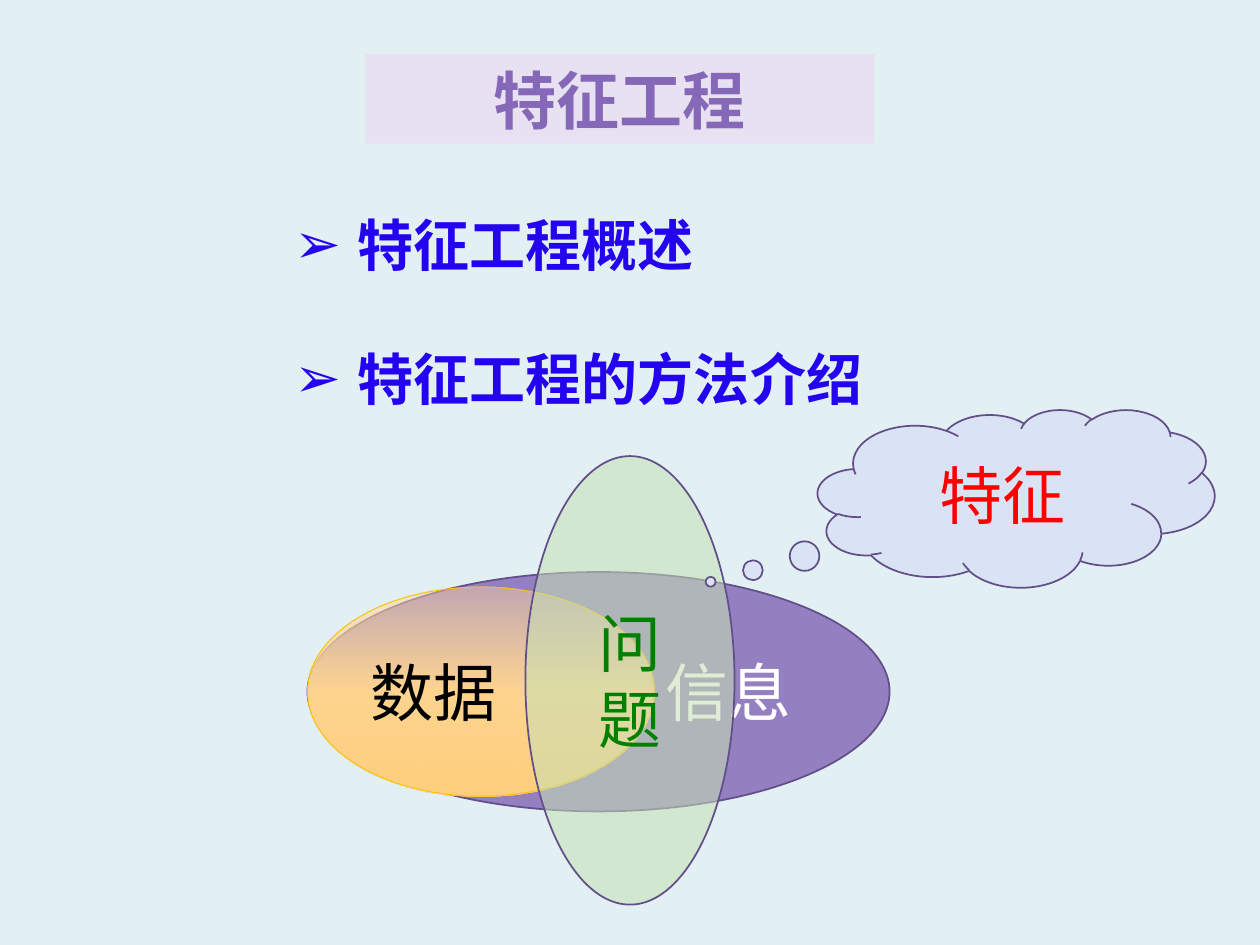
from dataclasses import dataclass
from typing import Optional

from lxml.etree import SubElement
from pptx import Presentation
from pptx.dml.color import RGBColor
from pptx.enum.shapes import MSO_SHAPE
from pptx.enum.text import MSO_ANCHOR, MSO_AUTO_SIZE, PP_ALIGN
from pptx.oxml import parse_xml
from pptx.oxml.ns import nsdecls, qn
from pptx.util import Inches, Pt

COLORS = {
    "background": "E3F0F3", "title_fill": "E7E1F1", "purple": "8569B8",
    "blue": "2403EF", "outline": "624E88", "gold": "FFC000",
    "green_fill": "C5E0B4", "cloud": "DAE3F3", "white": "FFFFFF",
    "black": "000000", "green": "008000", "red": "FF0000",
}
CJK_FONT = "Noto Sans CJK SC"
# Position, colour and opacity of each stop, in percent
DATA_GRADIENT = [(0, "FFDB9E", 43), (50, "FFD590", 100), (100, "FFD07C", 100)]


@dataclass
class Bubble:
    text: str
    at: tuple
    color: str
    align: PP_ALIGN
    fill: Optional[str] = None
    opacity: int = 100
    line: str = "outline"
    line_width: float = 1
    kind: MSO_SHAPE = MSO_SHAPE.OVAL
    adjustments: tuple = ()


BUBBLES = [
    Bubble("信息", (2.44, 4.54, 4.62, 1.9), "white", PP_ALIGN.RIGHT, "purple", 83),
    Bubble("数据", (2.44, 4.66, 2.75, 1.66), "black", PP_ALIGN.LEFT,
           line="gold", line_width=0.5),
    Bubble("问题", (4.17, 3.62, 1.66, 3.56), "green", PP_ALIGN.CENTER, "green_fill", 56),
    Bubble("特征", (6.49, 3.25, 3.15, 1.41), "red", PP_ALIGN.CENTER, "cloud",
           kind=MSO_SHAPE.CLOUD_CALLOUT, adjustments=(-0.77, 0.47)),
]


def color(name: str) -> RGBColor:
    return RGBColor.from_string(COLORS[name])


def set_values(target, values: dict) -> None:
    for name, value in values.items():
        setattr(target, name, value)


def place(shape, at: tuple) -> None:
    set_values(shape, dict(zip(("left", "top", "width", "height"), map(Inches, at))))


def write(para, text: str, name: str, size: int, font: str, bold: bool = False) -> None:
    span = para.add_run()
    span.text = text
    set_values(span.font, {"name": font, "size": Pt(size), "bold": bold})
    span.font.color.rgb = color(name)
    # East Asian glyphs take their own typeface
    SubElement(span.font._element, qn("a:ea"), typeface=font)


def add_bullet(para) -> None:
    properties = para._p.get_or_add_pPr()
    properties.set("marL", str(Inches(0.5)))
    properties.set("indent", str(Inches(-0.5)))
    SubElement(properties, qn("a:buFont"), typeface="Arial")
    SubElement(properties, qn("a:buChar"), char="➢")
    tabs = SubElement(properties, qn("a:tabLst"))
    SubElement(tabs, qn("a:tab"), pos=str(Inches(0.33)), algn="l")


def fill_gradient(shape) -> None:
    stops = "".join(
        f'<a:gs pos="{position * 1000}"><a:srgbClr val="{value}">'
        f'<a:alpha val="{opacity * 1000}"/></a:srgbClr></a:gs>'
        for position, value, opacity in DATA_GRADIENT)
    gradient = parse_xml(
        f'<a:gradFill {nsdecls("a")} rotWithShape="1"><a:gsLst>{stops}</a:gsLst>'
        '<a:lin ang="5400000" scaled="0"/></a:gradFill>')
    shape._element.spPr.find(qn("a:prstGeom")).addnext(gradient)


def add_bubble(page, bubble: Bubble) -> None:
    shape = page.shapes.add_shape(bubble.kind, *map(Inches, bubble.at))
    shape.shadow.inherit = False
    for index, value in enumerate(bubble.adjustments):
        shape.adjustments[index] = value
    if bubble.fill is None:
        fill_gradient(shape)
    else:
        shape.fill.solid()
        shape.fill.fore_color.rgb = color(bubble.fill)
        if bubble.opacity < 100:
            value = shape._element.spPr.find(qn("a:solidFill"))[0]
            SubElement(value, qn("a:alpha"), val=str(bubble.opacity * 1000))
    shape.line.color.rgb = color(bubble.line)
    shape.line.width = Pt(bubble.line_width)
    set_values(shape.text_frame, {"word_wrap": True, "vertical_anchor": MSO_ANCHOR.MIDDLE})
    para = shape.text_frame.paragraphs[0]
    para.alignment = bubble.align
    write(para, bubble.text, bubble.color, 36, "Arial")


def add_title(page) -> None:
    title = page.shapes.title
    place(title, (2.9, 0.43, 4.04, 0.71))
    title.fill.solid()
    title.fill.fore_color.rgb = color("title_fill")
    set_values(title.text_frame, {
        "word_wrap": True, "auto_size": MSO_AUTO_SIZE.NONE,
        "vertical_anchor": MSO_ANCHOR.MIDDLE})
    para = title.text_frame.paragraphs[0]
    para.alignment = PP_ALIGN.CENTER
    write(para, "特征工程", "purple", 36, CJK_FONT, bold=True)


def add_topics(page) -> None:
    body = page.placeholders[1]
    place(body, (2.34, 1.13, 5.31, 2.15))
    frame = body.text_frame
    set_values(frame, {
        "word_wrap": True, "auto_size": MSO_AUTO_SIZE.NONE,
        "vertical_anchor": MSO_ANCHOR.MIDDLE, "margin_left": 0,
        "margin_top": 0, "margin_right": 0, "margin_bottom": 0})
    for index, topic in enumerate(["特征工程概述", "特征工程的方法介绍"]):
        para = frame.add_paragraph() if index else frame.paragraphs[0]
        add_bullet(para)
        set_values(para, {"line_spacing": Pt(76.5), "space_before": Pt(0),
                          "alignment": PP_ALIGN.LEFT})
        write(para, topic, "blue", 32, CJK_FONT, bold=True)


def main() -> None:
    deck = Presentation()
    set_values(deck, {"slide_width": Inches(10), "slide_height": Inches(7.5)})
    page = deck.slides.add_slide(deck.slide_layouts[1])
    page.background.fill.solid()
    page.background.fill.fore_color.rgb = color("background")

    # Title and topic list
    add_title(page)
    add_topics(page)

    # Overlapping ellipses and the thought cloud
    for bubble in BUBBLES:
        add_bubble(page, bubble)

    deck.save("out.pptx")


if __name__ == "__main__":
    main()
